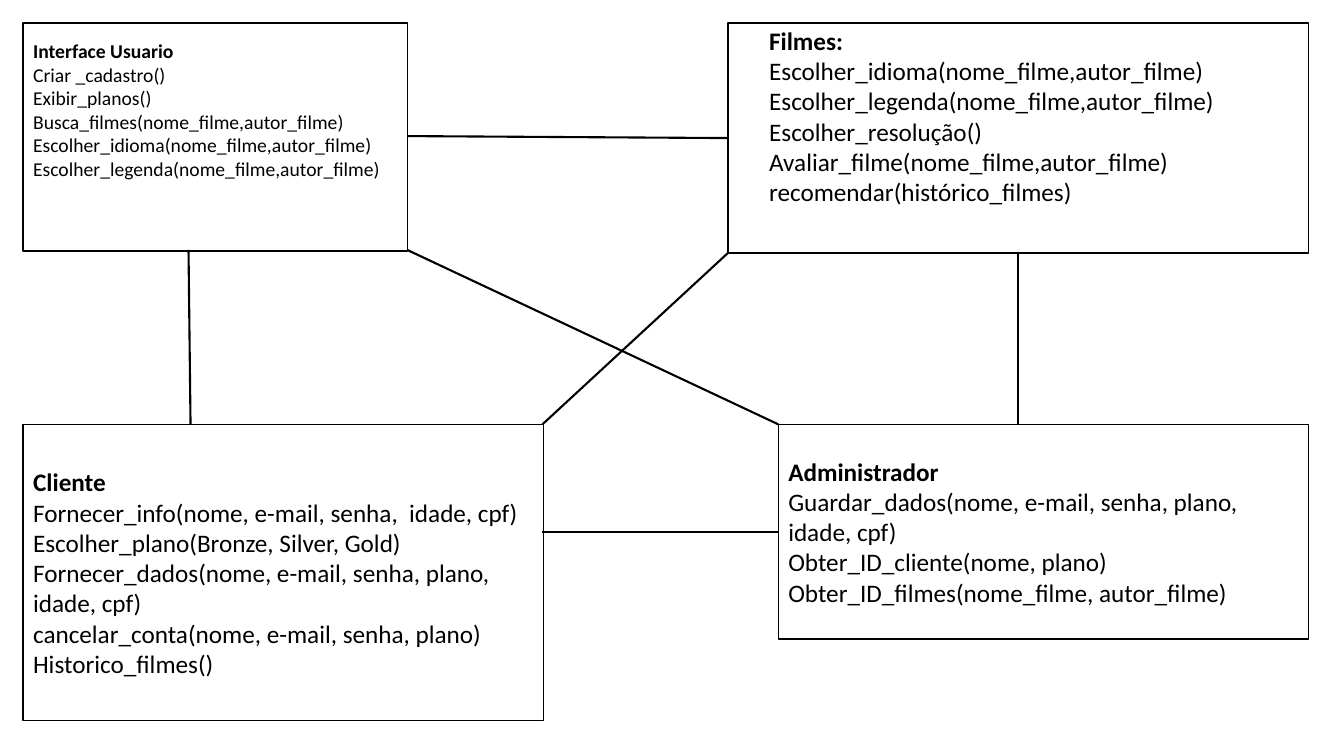
from lxml.etree import SubElement
from pptx import Presentation
from pptx.dml.color import RGBColor
from pptx.enum.shapes import MSO_CONNECTOR as Connector, MSO_SHAPE as Shape
from pptx.enum.text import MSO_ANCHOR as Anchor, PP_ALIGN as Align
from pptx.oxml.ns import qn
from pptx.util import Inches, Pt

BLACK = RGBColor(0, 0, 0)
WHITE = RGBColor(255, 255, 255)


class ClassDiagram:
    font = "Calibri"

    def __init__(self, slide):
        self.slide = slide

    def fill_text(self, frame, lines, size, anchor):
        frame.word_wrap = True
        frame.vertical_anchor = anchor
        frame.text = "\n".join(lines)
        for index, paragraph in enumerate(frame.paragraphs):
            paragraph.alignment = Align.LEFT
            for run in paragraph.runs:
                run.font.name = self.font
                run.font.size = Pt(size)
                run.font.bold = index == 0
                run.font.color.rgb = BLACK

    def box(self, left, top, width, height, lines=(), size=18, bottom=0.05):
        box = self.slide.shapes.add_shape(
            Shape.RECTANGLE, Inches(left), Inches(top), Inches(width), Inches(height))
        box.shadow.inherit = False
        box.fill.solid()
        box.fill.fore_color.rgb = WHITE
        box.line.color.rgb = BLACK
        box.line.width = Pt(1)
        if lines:
            box.text_frame.margin_bottom = Inches(bottom)
            self.fill_text(box.text_frame, lines, size, Anchor.MIDDLE)

    def label(self, left, top, width, height, lines, size=18):
        label = self.slide.shapes.add_textbox(
            Inches(left), Inches(top), Inches(width), Inches(height))
        self.fill_text(label.text_frame, lines, size, Anchor.TOP)

    def link(self, start, end):
        link = self.slide.shapes.add_connector(
            Connector.STRAIGHT, *(Inches(value) for value in (*start, *end)))
        link.line.color.rgb = BLACK
        link.line.width = Pt(1.5)
        SubElement(link._element.spPr, qn("a:effectLst"))


presentation = Presentation()
presentation.slide_width = Inches(13.33)
presentation.slide_height = Inches(7.5)
diagram = ClassDiagram(presentation.slides.add_slide(presentation.slide_layouts[6]))

diagram.box(0.23, 4.21, 5.16, 2.94, [
    "Cliente",
    "Fornecer_info(nome, e-mail, senha,  idade, cpf)",
    "Escolher_plano(Bronze, Silver, Gold)",
    "Fornecer_dados(nome, e-mail, senha, plano, idade, cpf)",
    "cancelar_conta(nome, e-mail, senha, plano)",
    "Historico_filmes()",
])
diagram.box(7.72, 4.21, 5.26, 2.13, [
    "Administrador",
    "Guardar_dados(nome, e-mail, senha, plano, idade, cpf)",
    "Obter_ID_cliente(nome, plano)",
    "Obter_ID_filmes(nome_filme, autor_filme)",
])
diagram.box(0.23, 0.23, 3.81, 2.26, [
    "Interface Usuario",
    "Criar _cadastro()",
    "Exibir_planos()",
    "Busca_filmes(nome_filme,autor_filme)",
    "Escolher_idioma(nome_filme,autor_filme)",
    "Escolher_legenda(nome_filme,autor_filme)",
], size=14, bottom=0.59)
diagram.box(7.22, 0.23, 5.76, 2.28)
diagram.label(7.53, 0.2, 5.44, 1.92, [
    "Filmes:",
    "Escolher_idioma(nome_filme,autor_filme)",
    "Escolher_legenda(nome_filme,autor_filme)",
    "Escolher_resolução()",
    "Avaliar_filme(nome_filme,autor_filme)",
    "recomendar(histórico_filmes)",
])

interface_corner = (4.04, 2.48)
filmes_corner = (7.22, 2.51)
cliente_corner = (5.38, 4.21)
administrador_corner = (7.72, 4.21)
for start, end in (
    ((7.72, 5.28), (5.38, 5.28)),
    ((10.1, 4.21), (10.1, 2.51)),
    (administrador_corner, interface_corner),
    ((1.89, 4.21), (1.87, 2.48)),
    ((4.04, 1.35), (7.22, 1.37)),
    (filmes_corner, cliente_corner),
):
    diagram.link(start, end)

presentation.save("out.pptx")
